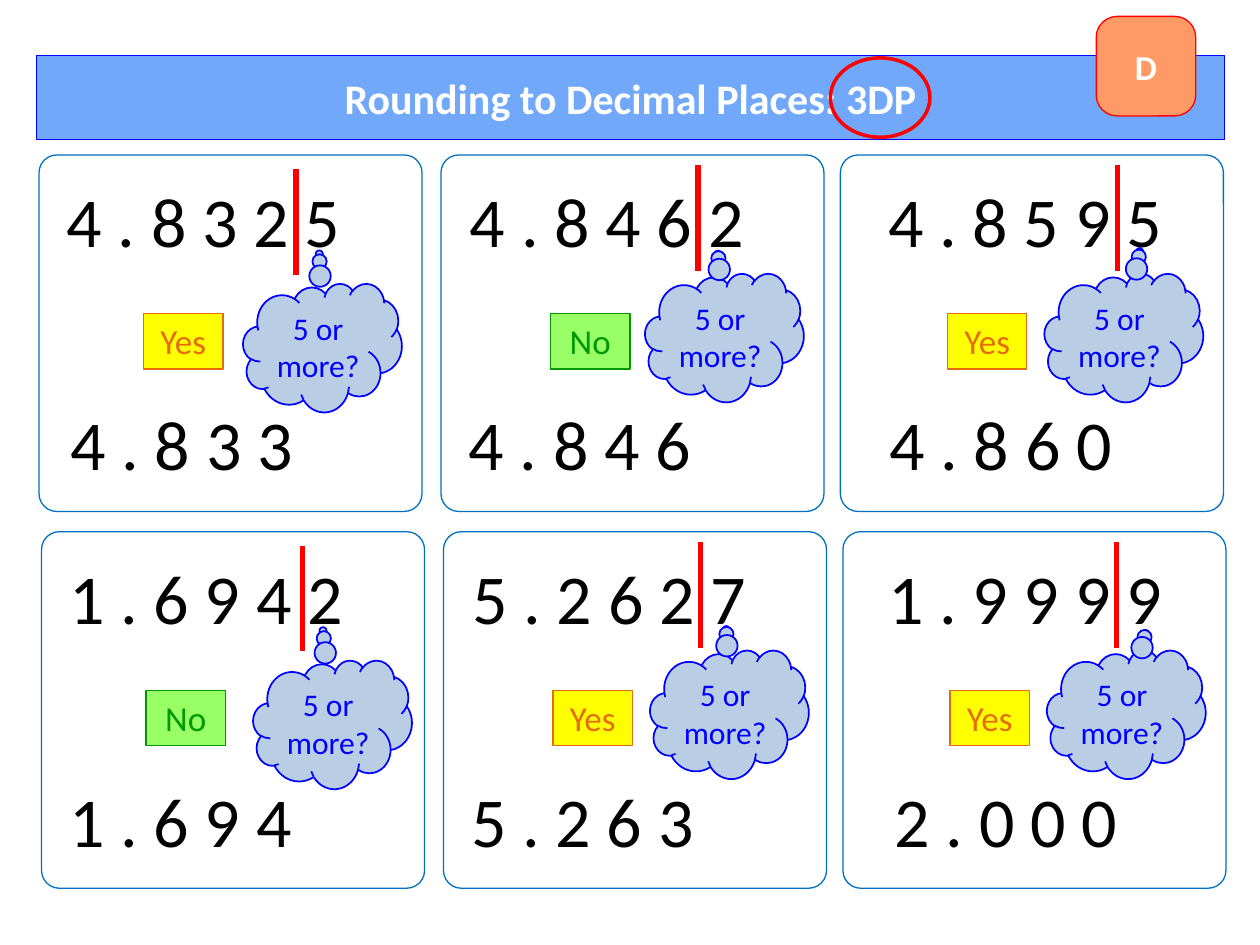
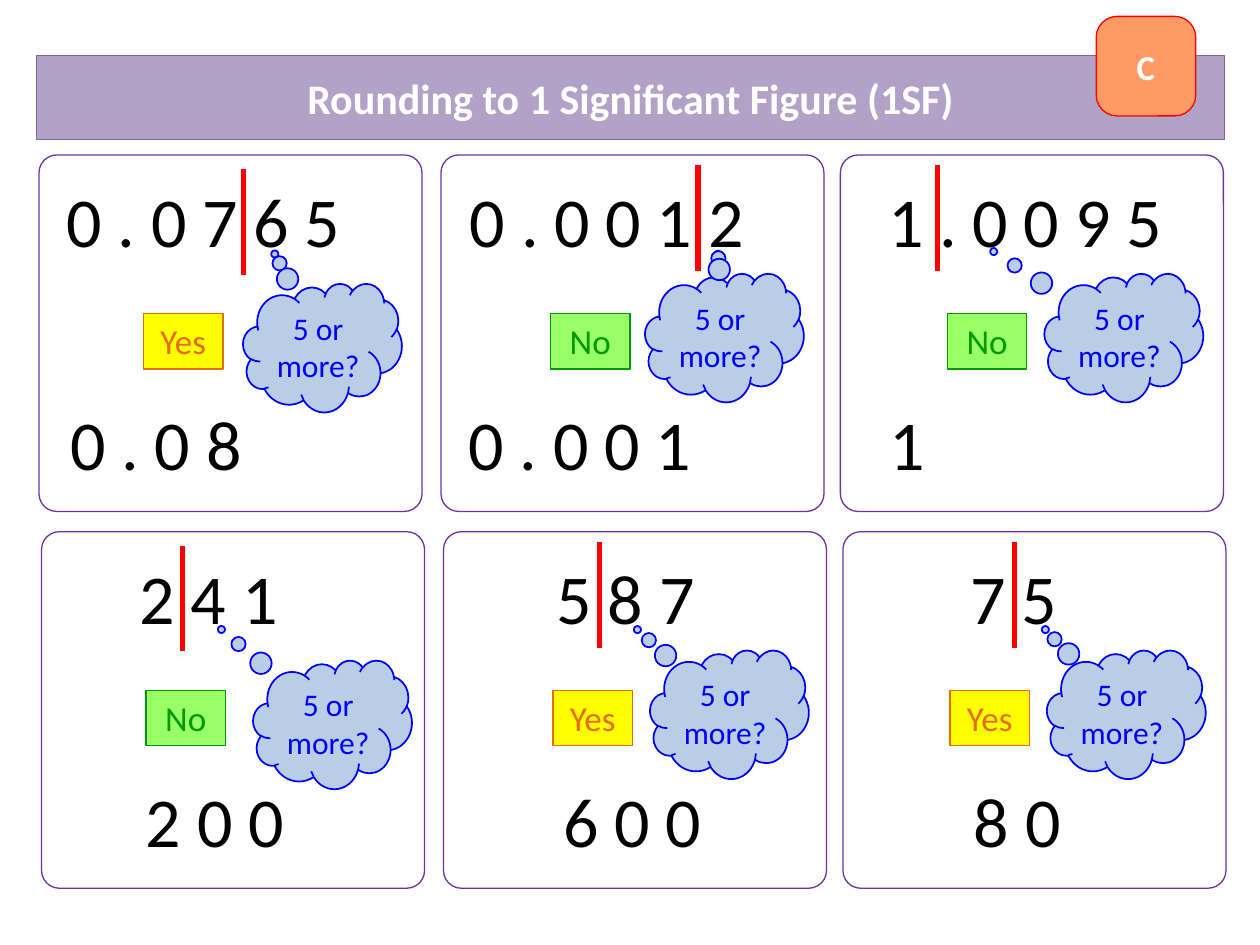
from dataclasses import dataclass
from lxml.etree import SubElement
from pptx import Presentation
from pptx.dml.color import RGBColor
from pptx.enum.shapes import MSO_CONNECTOR, MSO_SHAPE
from pptx.enum.text import MSO_ANCHOR, MSO_AUTO_SIZE, PP_ALIGN
from pptx.oxml.ns import qn
from pptx.util import Inches, Pt


@dataclass(frozen=True)
class Theme:
    font: str = "Calibri"
    white: str = "FFFFFF"
    black: str = "000000"
    red: str = "FF0000"
    blue: str = "0000FF"
    cloud: str = "B9CDE5"
    badge: str = "FF9966"
    title_size: int = 24
    digit_size: int = 40
    tag_size: int = 20
    cloud_size: int = 18
    thin: float = 0.75
    cloud_line: float = 1
    ring_line: float = 2
    cut_line: float = 3
    band_round: float = 0.21
    card_round: float = 0.05


@dataclass(frozen=True)
class Palette:
    band: str
    band_line: str
    card_line: str


@dataclass(frozen=True)
class Example:
    digits: str
    digits_x: float
    cut_x: float
    verdict: str
    tail: tuple
    answer: str
    answer_x: float


T = Theme()
VERDICTS = {"Yes": ("FFFF00", "E46C0A"), "No": ("99FF66", "009900")}
CARD_X = (0.31, 3.5, 6.67)
TAG_DX = (0.83, 0.87, 0.85)
CLOUD_X = ((1.93, 5.12, 8.29), (2.01, 5.16, 8.31))
CUT_Y = (1.34, 1.31, 1.31)
CLOUD_Y = (2.25, 2.17, 2.17)
ROW_DX, ROW_DY = 0.02, 2.99

DECIMALS = (
    Example("4 . 8 3 2 5", 0.43, 2.35, "Yes", (-0.02, -0.73), "4 . 8 3 3", 0.46),
    Example("4 . 8 4 6 2", 3.63, 5.54, "No", (-0.04, -0.65), "4 . 8 4 6", 3.62),
    Example("4 . 8 5 9 5", 6.95, 8.87, "Yes", (0.1, -0.67), "4 . 8 6 0", 6.96),
    Example("1 . 6 9 4 2", 0.45, 2.4, "No", (-0.06, -0.73), "1 . 6 9 4", 0.45),
    Example("5 . 2 6 2 7", 3.65, 5.56, "Yes", (-0.02, -0.66), "5 . 2 6 3", 3.64),
    Example("1 . 9 9 9 9", 6.95, 8.86, "Yes", (0.12, -0.63), "2 . 0 0 0", 7.0),
)
FIGURES = (
    Example("0 . 0 7 6 5", 0.43, 1.93, "Yes", (-0.3, -0.73), "0 . 0 8", 0.46),
    Example("0 . 0 0 1 2", 3.63, 5.54, "No", (-0.04, -0.65), "0 . 0 0 1", 3.62),
    Example("1 . 0 0 9 5", 6.95, 7.44, "No", (-0.82, -0.67), "1", 6.96),
    Example("2 4 1", 1.01, 1.45, "No", (-0.7, -0.74), "2 0 0", 1.06),
    Example("5 8 7", 4.32, 4.76, "Yes", (-0.58, -0.66), "6 0 0", 4.37),
    Example("7 5", 7.6, 8.05, "Yes", (-0.51, -0.66), "8 0", 7.63),
)


def rgb(value):
    return RGBColor.from_string(value)


def box(x, y, w, h):
    return Inches(x), Inches(y), Inches(w), Inches(h)


def paint(sp, fill, line, width):
    if fill:
        sp.fill.solid()
        sp.fill.fore_color.rgb = rgb(fill)
    else:
        sp.fill.background()
    sp.line.color.rgb = rgb(line)
    sp.line.width = Pt(width)


def write(sp, text, size, color, bold=False, align=PP_ALIGN.CENTER, anchor=MSO_ANCHOR.TOP):
    tf = sp.text_frame
    tf.word_wrap = True
    tf.auto_size = MSO_AUTO_SIZE.NONE
    tf.vertical_anchor = anchor
    p = tf.paragraphs[0]
    p.text = text
    p.alignment = align
    p.font.name = T.font
    p.font.size = Pt(size)
    p.font.bold = bold
    p.font.color.rgb = rgb(color)


def add_preset(shapes, kind, place, fill, line, width, adjust=()):
    sp = shapes.add_shape(kind, *box(*place))
    sp.shadow.inherit = False
    for i, value in enumerate(adjust):
        sp.adjustments[i] = value
    paint(sp, fill, line, width)
    return sp


def add_band(s, title, palette):
    sp = s.shapes.title
    sp.left, sp.top, sp.width, sp.height = box(0.29, 0.44, 9.43, 0.67)
    geom = SubElement(sp.element.spPr, qn("a:prstGeom"), prst="roundRect")
    guides = SubElement(geom, qn("a:avLst"))
    SubElement(guides, qn("a:gd"), name="adj", fmla=f"val {round(T.band_round * 100000)}")
    paint(sp, palette.band, palette.band_line, T.thin)
    write(sp, title, T.title_size, T.white, True, anchor=MSO_ANCHOR.MIDDLE)


def add_badge(s, grade):
    sp = add_preset(s.shapes, MSO_SHAPE.ROUNDED_RECTANGLE, (8.7, 0.13, 0.79, 0.79),
                    T.badge, T.red, T.thin, (T.band_round,))
    write(sp, grade, T.tag_size, T.white, True, anchor=MSO_ANCHOR.MIDDLE)


def add_digits(s, text, x, y):
    tb = s.shapes.add_textbox(*box(x, y, 2.42, 0.77))
    write(tb, text, T.digit_size, T.black, align=PP_ALIGN.LEFT)


def add_cut(s, x, y):
    cut = s.shapes.add_connector(MSO_CONNECTOR.STRAIGHT, Inches(x), Inches(y),
                                 Inches(x), Inches(y + 0.84))
    cut.line.color.rgb = rgb(T.red)
    cut.line.width = Pt(T.cut_line)
    SubElement(cut.element.spPr, qn("a:effectLst"))


def add_tag(s, verdict, x, y):
    fill, ink = VERDICTS[verdict]
    sp = add_preset(s.shapes, MSO_SHAPE.RECTANGLE, (x, y, 0.63, 0.44), fill, ink, T.thin)
    write(sp, verdict, T.tag_size, ink)


def add_question(s, x, y, tail):
    group = s.shapes.add_group_shape()
    add_preset(group.shapes, MSO_SHAPE.CLOUD_CALLOUT, (x, y, 1.26, 1.02),
               T.cloud, T.blue, T.cloud_line, tail)
    tb = group.shapes.add_textbox(*box(x + 0.07, y + 0.15, 1.05, 0.71))
    write(tb, "5 or more?", T.cloud_size, T.blue)


def add_example(s, index, ex, palette):
    row, col = divmod(index, 3)
    x, dy = CARD_X[col] + row * ROW_DX, row * ROW_DY
    add_preset(s.shapes, MSO_SHAPE.ROUNDED_RECTANGLE, (x, 1.23 + dy, 3.04, 2.83),
               None, palette.card_line, T.thin, (T.card_round,))
    add_cut(s, ex.cut_x, CUT_Y[col] + dy)
    add_digits(s, ex.digits, ex.digits_x, 1.36 + dy)
    add_tag(s, ex.verdict, x + TAG_DX[col], 2.49 + dy)
    add_question(s, CLOUD_X[row][col], CLOUD_Y[col] + dy, ex.tail)
    add_digits(s, ex.answer, ex.answer_x, 3.13 + dy)


def add_rounding_slide(prs, title, grade, palette, examples):
    s = prs.slides.add_slide(prs.slide_layouts[5])
    add_band(s, title, palette)
    for index, ex in enumerate(examples):
        add_example(s, index, ex, palette)
    add_badge(s, grade)
    return s


def main():
    prs = Presentation()
    prs.slide_width, prs.slide_height = Inches(10), Inches(7.5)
    s = add_rounding_slide(prs, "Rounding to Decimal Places: 3DP", "D",
                           Palette("71A8F9", "0000FF", "0070C0"), DECIMALS)
    add_preset(s.shapes, MSO_SHAPE.OVAL, (6.59, 0.46, 0.79, 0.63), None, T.red, T.ring_line)
    add_rounding_slide(prs, "Rounding to 1 Significant Figure (1SF)", "C",
                       Palette("B3A2C7", "8064A2", "7030A0"), FIGURES)
    prs.save("out.pptx")


if __name__ == "__main__":
    main()
